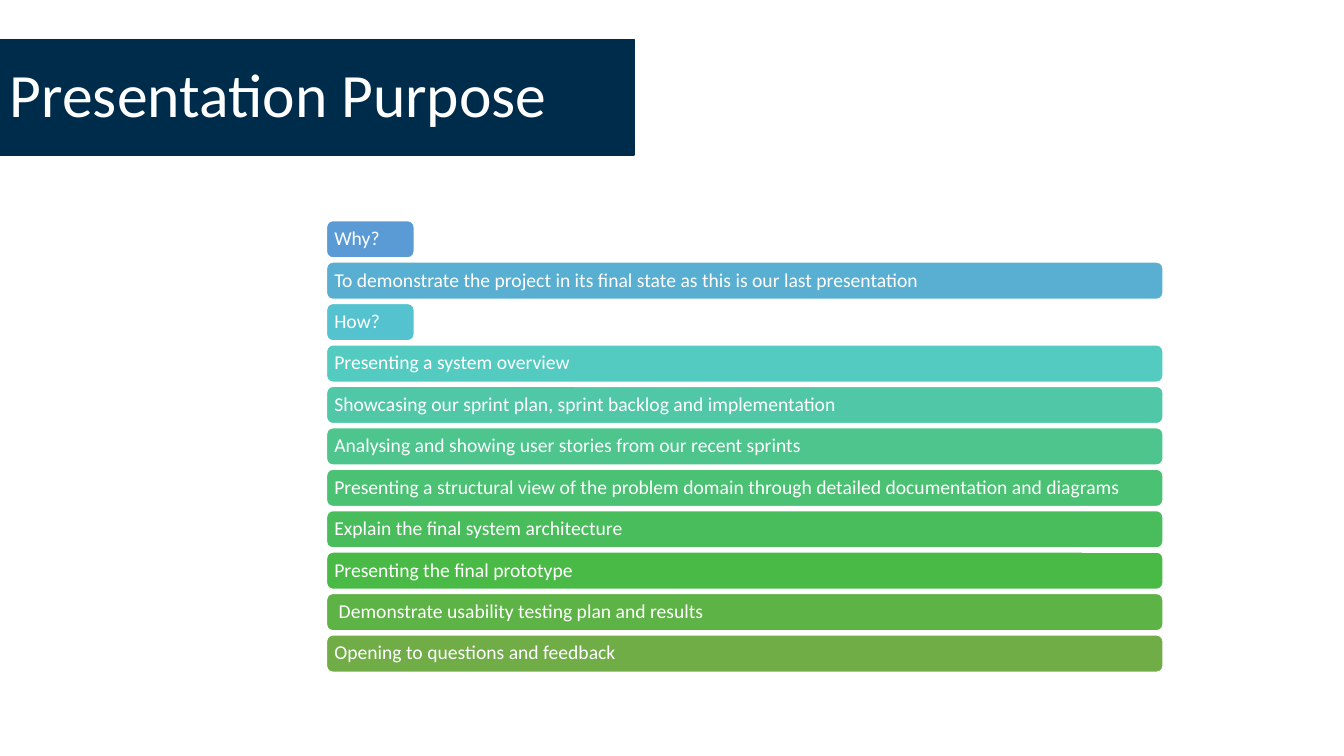
from lxml import etree
from pptx import Presentation
from pptx.dml.color import RGBColor
from pptx.enum.shapes import MSO_SHAPE
from pptx.enum.text import MSO_ANCHOR, MSO_AUTO_SIZE, PP_ALIGN
from pptx.oxml.ns import qn
from pptx.util import Cm, Pt

ROUNDED = MSO_SHAPE.ROUNDED_RECTANGLE
MIDDLE, LEFT, NO_FIT = MSO_ANCHOR.MIDDLE, PP_ALIGN.LEFT, MSO_AUTO_SIZE.NONE

# Content: text and bar colour
TITLE = "Presentation Purpose"
ROWS = [
    ("Why?", "5B9BD5"),
    ("To demonstrate the project in its final state as this is our last presentation", "58AFD2"),
    ("How?", "55C3CF"),
    ("Presenting a system overview", "53CBC1"),
    ("Showcasing our sprint plan, sprint backlog and implementation", "50C8A7"),
    ("Analysing and showing user stories from our recent sprints", "4DC58D"),
    ("Presenting a structural view of the problem domain through detailed "
     "documentation and diagrams", "4BC174"),
    ("Explain the final system architecture", "49BD5B"),
    ("Presenting the final prototype", "4ABA46"),
    (" Demonstrate usability testing plan and results", "5EB347"),
    ("Opening to questions and feedback", "70AD47"),
]
QUESTIONS = ("Why?", "How?")
NAVY, WHITE = "002C4C", "FFFFFF"

# Layout in centimetres
BAR_LEFT, BAR_HEIGHT = 8.23, 0.94
QUESTION_WIDTH, ANSWER_WIDTH = 2.21, 21.08
FIRST_TOP, LAST_TOP = 5.56, 16.0


def color(value):
    return RGBColor.from_string(value)


def paint(shape, fill, line):
    shape.fill.solid()
    shape.fill.fore_color.rgb = color(fill)
    shape.line.color.rgb = color(line)
    shape.line.width = Pt(1)


def write(shape, text, size, inset_x, inset_y):
    frame = shape.text_frame
    frame.word_wrap = True
    frame.auto_size = NO_FIT
    frame.vertical_anchor = MIDDLE
    frame.margin_left = frame.margin_right = Cm(inset_x)
    frame.margin_top = frame.margin_bottom = Cm(inset_y)
    para = frame.paragraphs[0]
    para.alignment = LEFT
    para.line_spacing = 0.9
    span = para.add_run()
    span.text = text
    span.font.name = "Calibri"
    span.font.size = Pt(size)
    span.font.color.rgb = color(WHITE)


deck = Presentation()
deck.slide_width, deck.slide_height = Cm(33.87), Cm(19.05)
page = deck.slides.add_slide(deck.slide_layouts[5])

# Title as an arrow-shaped banner
banner = page.shapes.title
banner.left, banner.top = Cm(0), Cm(0.99)
banner.width, banner.height = Cm(15.98), Cm(2.92)
outline = etree.SubElement(banner.element.spPr, qn("a:prstGeom"), prst="homePlate")
etree.SubElement(outline, qn("a:avLst"))
paint(banner, NAVY, NAVY)
write(banner, TITLE, size=44, inset_x=0.25, inset_y=0.13)

# Evenly spaced bars, short for the questions
pitch = (LAST_TOP - FIRST_TOP) / (len(ROWS) - 1)
for index, (text, fill) in enumerate(ROWS):
    width = QUESTION_WIDTH if text in QUESTIONS else ANSWER_WIDTH
    bar = page.shapes.add_shape(ROUNDED, Cm(BAR_LEFT), Cm(FIRST_TOP + index * pitch),
                                Cm(width), Cm(BAR_HEIGHT))
    bar.shadow.inherit = False
    paint(bar, fill, WHITE)
    write(bar, text, size=14, inset_x=0.15, inset_y=0.15)

deck.save("out.pptx")
